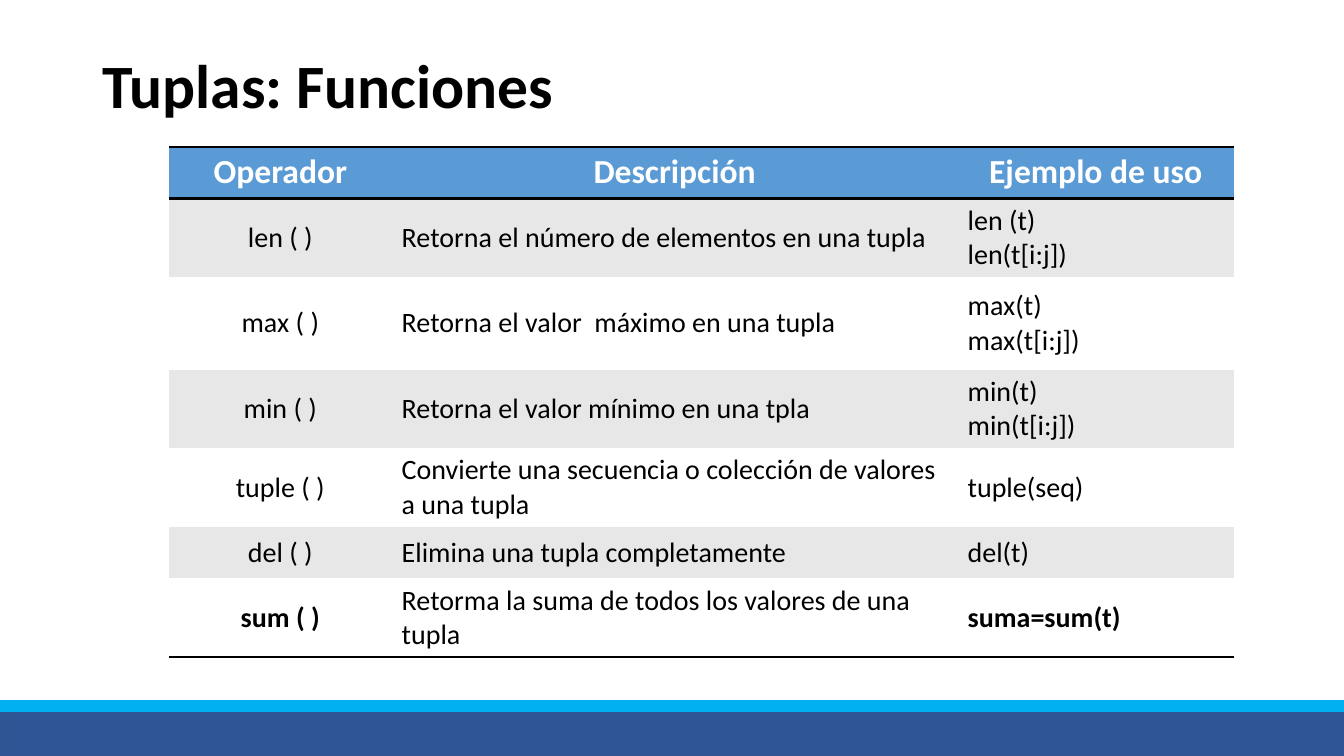
from lxml import etree
from pptx import Presentation
from pptx.dml.color import RGBColor
from pptx.enum.shapes import MSO_SHAPE
from pptx.enum.text import MSO_ANCHOR, PP_ALIGN
from pptx.oxml.ns import qn
from pptx.util import Pt

PX = 9525
RECTANGLE = MSO_SHAPE.RECTANGLE
MIDDLE, TOP = MSO_ANCHOR.MIDDLE, MSO_ANCHOR.TOP
LEFT, CENTER = PP_ALIGN.LEFT, PP_ALIGN.CENTER
PLAIN_STYLE = "{2D5ABB26-0587-4C30-8999-92F81FD0307C}"
FONT = "Calibri"
BLACK, WHITE, GRAY, BLUE = "000000", "FFFFFF", "E7E7E7", "5B9BD5"

COLUMN_WIDTHS = [212, 539, 263]
ROW_HEIGHTS = [49, 49, 88, 49, 49, 49, 49]
ROWS = [
    ["Operador", "Descripción", "Ejemplo de uso"],
    ["len ( )", "Retorna el número de elementos en una tupla", "len (t)\nlen(t[i:j])"],
    ["max ( )", "Retorna el valor  máximo en una tupla", "max(t)\nmax(t[i:j])"],
    ["min ( )", "Retorna el valor mínimo en una tpla", "min(t)\nmin(t[i:j])"],
    ["tuple ( )", "Convierte una secuencia o colección de valores a una tupla", "tuple(seq)"],
    ["del ( )", "Elimina una tupla completamente", "del(t)"],
    ["sum ( )", "Retorma la suma de todos los valores de una tupla", "suma=sum(t)"],
]


def color(value):
    """Turn a hex string into a colour."""
    return RGBColor.from_string(value)


def emu(*lengths):
    """Turn pixel lengths into EMU."""
    return [length * PX for length in lengths]


def format_text(frame, size, ink, bold, align):
    """Format every paragraph and run of a text frame."""
    for para in frame.paragraphs:
        para.alignment = align
        for span in para.runs:
            span.font.name = FONT
            span.font.size = Pt(size)
            span.font.bold = bold
            span.font.color.rgb = color(ink)


def add_bar(page, box, fill, line):
    """Draw one bar of the footer."""
    bar = page.shapes.add_shape(RECTANGLE, *emu(*box))
    bar.shadow.inherit = False
    bar.fill.solid()
    bar.fill.fore_color.rgb = color(fill)
    bar.line.color.rgb = color(line)
    bar.line.width = Pt(1)


def add_footer(page, left, top, width, height):
    """Draw the dark footer with the bright strip on its upper edge."""
    add_bar(page, (left, top + 8, width, height - 8), "2F5597", "325491")
    add_bar(page, (left, top, width, 10), "00B0F0", "00B0F0")


def add_title(page, text, box):
    """Place and format the title placeholder."""
    title = page.shapes.title
    title.left, title.top, title.width, title.height = emu(*box)
    frame = title.text_frame
    frame.text = text
    frame.word_wrap = True
    frame.vertical_anchor = MIDDLE
    frame.paragraphs[0].line_spacing = 0.9
    format_text(frame, 44, BLACK, True, LEFT)


def add_border(cell, side):
    """Rule one side of a cell in black."""
    properties = cell._tc.get_or_add_tcPr()
    line = etree.SubElement(properties, qn(f"a:{side}"), w=str(Pt(2)))
    fill = etree.SubElement(line, qn("a:solidFill"))
    etree.SubElement(fill, qn("a:srgbClr"), val=BLACK)


def format_cell(cell, row, column):
    """Style a cell by its place in the table."""
    header, last = row == 0, row == len(ROWS) - 1
    if header:
        add_border(cell, "lnT")
    if header or last:
        add_border(cell, "lnB")
    cell.fill.solid()
    cell.fill.fore_color.rgb = color(BLUE if header else GRAY if row % 2 else WHITE)
    cell.vertical_anchor = TOP if header else MIDDLE
    bold = header or (last and column != 1)
    align = CENTER if header or column == 0 else LEFT
    format_text(cell.text_frame, 24 if header else 20, WHITE if header else BLACK, bold, align)


def add_functions_table(page, left, top):
    """Build the table of tuple functions."""
    box = emu(left, top, sum(COLUMN_WIDTHS), sum(ROW_HEIGHTS))
    table = page.shapes.add_table(len(ROWS), len(COLUMN_WIDTHS), *box).table
    table.horz_banding = False
    table._tbl.tblPr.find(qn("a:tableStyleId")).text = PLAIN_STYLE
    for column, width in zip(table.columns, COLUMN_WIDTHS):
        column.width = width * PX
    for row, height in zip(table.rows, ROW_HEIGHTS):
        row.height = height * PX
    for row, texts in enumerate(ROWS):
        for column, text in enumerate(texts):
            cell = table.cell(row, column)
            cell.text_frame.text = text
            format_cell(cell, row, column)


def main():
    """Build and save the deck."""
    deck = Presentation()
    deck.slide_width, deck.slide_height = emu(1280, 720)
    page = deck.slides.add_slide(deck.slide_layouts[5])
    add_footer(page, 0, 667, 1280, 53)
    add_title(page, "Tuplas: Funciones", (88, 15, 1104, 139))
    add_functions_table(page, 161, 140)
    deck.save("out.pptx")


if __name__ == "__main__":
    main()
